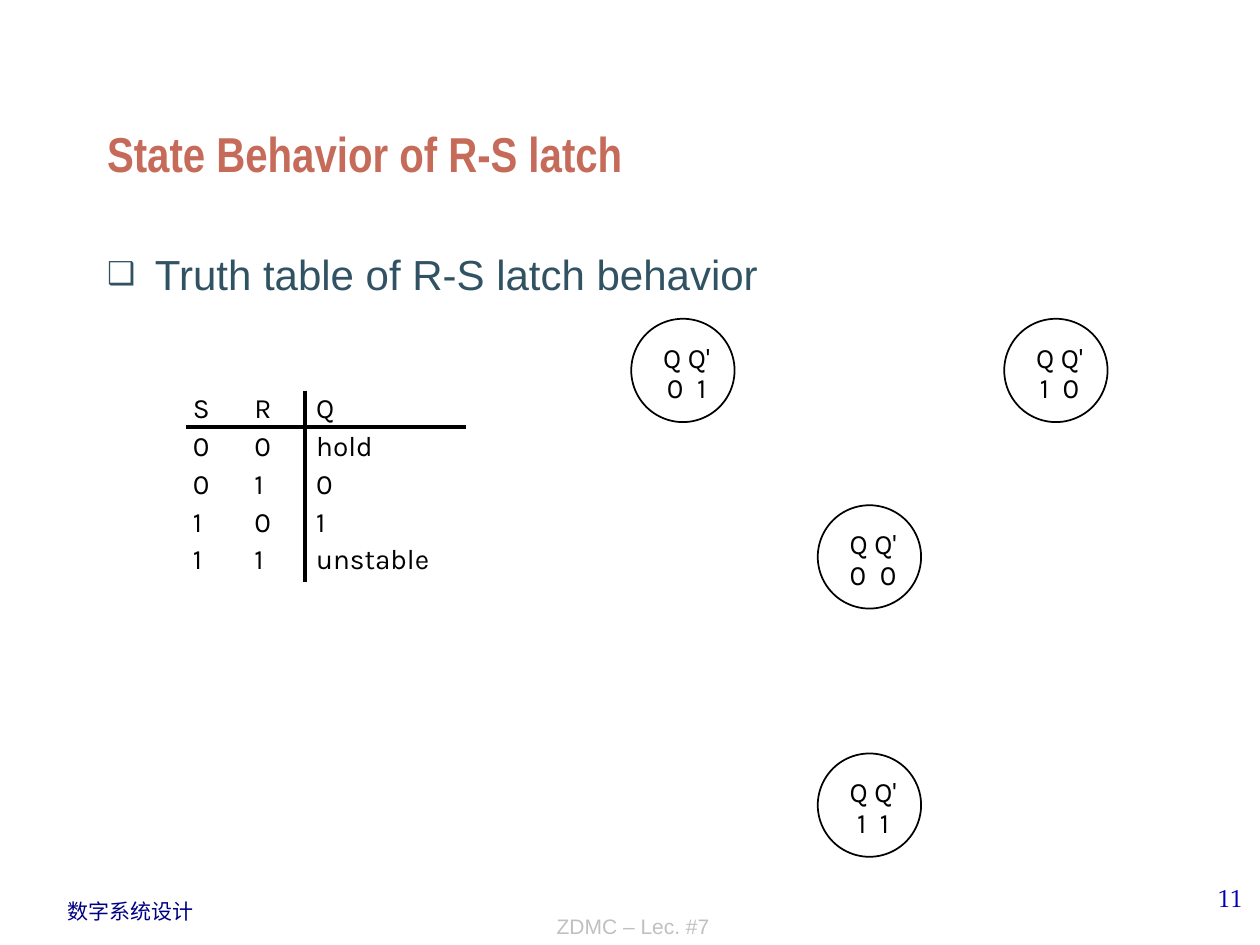
from lxml import etree
from pptx import Presentation
from pptx.dml.color import RGBColor
from pptx.enum.shapes import MSO_CONNECTOR, MSO_SHAPE
from pptx.enum.text import MSO_ANCHOR, MSO_AUTO_SIZE, PP_ALIGN
from pptx.oxml.ns import qn
from pptx.util import Inches, Pt

COLORS = {
    "title": "C66B5A",
    "body": "315263",
    "ink": "000000",
    "course": "000082",
    "page": "0000B6",
    "lecture": "C0C0C0",
}


class LatchSlide:
    diagram_font = "Karla"
    diagram_size = 16

    def __init__(self, slide):
        self.slide = slide
        self.shapes = slide.shapes

    def color(self, name):
        return RGBColor.from_string(COLORS[name])

    def format(self, paragraph, font, size, color, bold=False, align=PP_ALIGN.LEFT):
        paragraph.alignment = align
        paragraph.space_before = Pt(0)
        for run in paragraph.runs:
            run.font.name = font
            run.font.size = Pt(size)
            run.font.bold = bold
            run.font.color.rgb = self.color(color)

    def place(self, shape, left, top, width, height):
        shape.left, shape.top = Inches(left), Inches(top)
        shape.width, shape.height = Inches(width), Inches(height)

    def title(self, text):
        title = self.shapes.title
        self.place(title, 0.75, 0.25, 8.5, 1.25)
        frame = title.text_frame
        frame.text = text
        frame.auto_size = MSO_AUTO_SIZE.NONE
        frame.vertical_anchor = MSO_ANCHOR.BOTTOM
        self.format(frame.paragraphs[0], "Arial Narrow", 28, "title", bold=True)

    def bullet(self, text):
        body = self.slide.placeholders[1]
        self.place(body, 0.75, 1.92, 8.5, 4.5)
        frame = body.text_frame
        frame.text = text
        frame.auto_size = MSO_AUTO_SIZE.NONE
        paragraph = frame.paragraphs[0]
        properties = paragraph._p.get_or_add_pPr()
        properties.set("marL", str(Inches(0.38)))
        properties.set("indent", str(-Inches(0.38)))
        bullet_color = etree.SubElement(properties, qn("a:buClr"))
        etree.SubElement(bullet_color, qn("a:srgbClr"), val=COLORS["body"])
        etree.SubElement(properties, qn("a:buSzPct"), val="75000")
        etree.SubElement(properties, qn("a:buChar"), char="❑")
        self.format(paragraph, "Arial", 24, "body")

    def label(self, text, box, font, size, color, align=PP_ALIGN.LEFT,
              anchor=MSO_ANCHOR.TOP):
        label = self.shapes.add_textbox(*map(Inches, box))
        frame = label.text_frame
        frame.word_wrap = True
        frame.vertical_anchor = anchor
        frame.text = text
        for paragraph in frame.paragraphs:
            self.format(paragraph, font, size, color, align=align)
        return frame

    def line(self, start, end):
        line = self.shapes.add_connector(
            MSO_CONNECTOR.STRAIGHT, *map(Inches, start + end))
        line.line.color.rgb = self.color("ink")
        line.line.width = Pt(2)
        etree.SubElement(line._element.spPr, qn("a:effectLst"))

    def truth_table(self, rows, left, top, widths, row_height):
        frame = self.shapes.add_table(
            len(rows), len(widths), Inches(left), Inches(top),
            Inches(sum(widths)), Inches(row_height * len(rows)))
        table = frame.table
        table.first_row = table.horz_banding = False
        for column, width in zip(table.columns, widths):
            column.width = Inches(width)
        for row, values in zip(table.rows, rows):
            for cell, value in zip(row.cells, values):
                cell.text = value
                cell.fill.background()
                cell.vertical_anchor = MSO_ANCHOR.MIDDLE
                cell.margin_left, cell.margin_right = Inches(0.05), 0
                cell.margin_top = cell.margin_bottom = 0
                self.format(cell.text_frame.paragraphs[0], self.diagram_font,
                            self.diagram_size, "ink")

    def state(self, digits, left, top):
        diameter = 0.82
        circle = self.shapes.add_shape(
            MSO_SHAPE.OVAL, *map(Inches, (left, top, diameter, diameter)))
        circle.shadow.inherit = False
        circle.fill.background()
        circle.line.color.rgb = self.color("ink")
        circle.line.width = Pt(1)
        frame = self.label(
            f"Q Q'\n{digits}", (left + 0.09, top + 0.16, 0.7, 0.66),
            self.diagram_font, self.diagram_size, "ink", PP_ALIGN.CENTER)
        frame.margin_left = frame.margin_right = Inches(0.02)
        frame.margin_top = frame.margin_bottom = Inches(0.03)
        for paragraph in frame.paragraphs:
            paragraph.line_spacing = Pt(17.7)
        digit_run = frame.paragraphs[1].runs[0]
        digit_run._r.get_or_add_rPr().set("spc", "200")


def main():
    presentation = Presentation()
    presentation.slide_width, presentation.slide_height = Inches(10), Inches(7.5)
    latch = LatchSlide(
        presentation.slides.add_slide(presentation.slide_layouts[1]))

    latch.title("State Behavior of R-S latch")
    latch.bullet("Truth table of R-S latch behavior")

    truth_rows = [
        ("S", "R", "Q"),
        ("0", "0", "hold"),
        ("0", "1", "0"),
        ("1", "0", "1"),
        ("1", "1", "unstable"),
    ]
    latch.truth_table(truth_rows, 1.48, 3.1, (0.49, 0.49, 1.24), 0.3)
    latch.line((2.42, 3.1), (2.42, 4.62))
    latch.line((1.48, 3.39), (3.7, 3.39))

    states = [("0 1", 5.01, 2.53), ("1 0", 7.97, 2.53),
              ("0 0", 6.49, 4.01), ("1 1", 6.49, 5.98)]
    for digits, left, top in states:
        latch.state(digits, left, top)

    latch.label("数字系统设计", (0.44, 7.08, 1.3, 0.3), "Arial", 12, "course")
    latch.label("ZDMC – Lec. #7", (2.59, 7, 4.87, 0.5), "Arial", 12, "lecture",
                PP_ALIGN.CENTER, MSO_ANCHOR.BOTTOM)
    latch.label("11", (7.88, 6.96, 2.08, 0.5), "TeX Gyre Pagella", 14, "page",
                PP_ALIGN.RIGHT)

    presentation.save("out.pptx")


if __name__ == "__main__":
    main()
